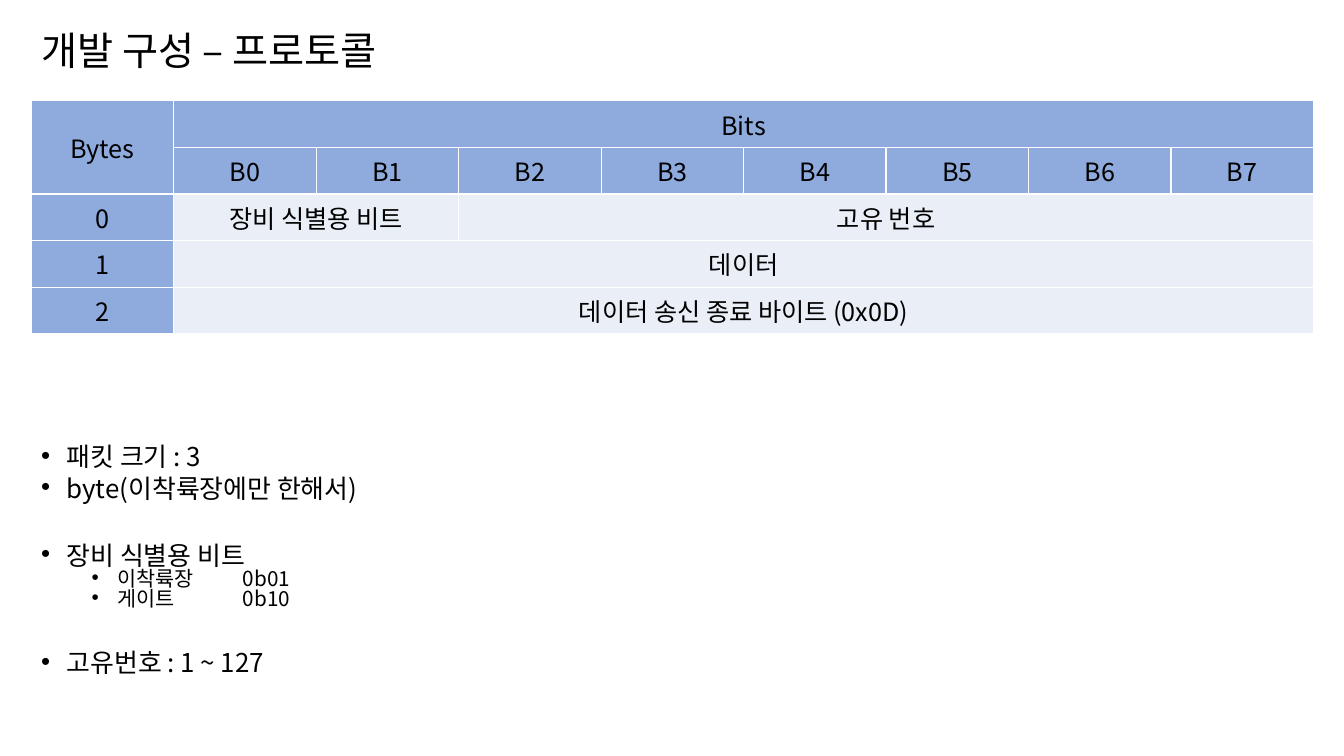
"""Build the protocol slide: a packet layout table above its notes."""
import dataclasses

import pptx
import pptx.dml.color
import pptx.enum.text
import pptx.oxml
import pptx.oxml.ns
import pptx.util

Cm = pptx.util.Cm
Pt = pptx.util.Pt
RGB = pptx.dml.color.RGBColor
ALIGN = pptx.enum.text.PP_ALIGN
ANCHOR = pptx.enum.text.MSO_ANCHOR

BLACK = RGB(0x00, 0x00, 0x00)
WHITE = RGB(0xFF, 0xFF, 0xFF)
BLUE = RGB(0x8F, 0xAA, 0xDC)
PALE = RGB(0xEA, 0xEF, 0xF7)
FONT = "Noto Sans CJK KR"
LEFT, WIDTH = Cm(0.79), Cm(32.31)
ROWS, COLS = 5, 9


@dataclasses.dataclass
class Field:
    row: int
    col: int
    text: str
    tall: int = 1
    wide: int = 1


@dataclasses.dataclass
class Note:
    text: str
    level: int = 0
    before: float = 8


FIELDS = [
    Field(0, 0, "Bytes", tall=2),
    Field(0, 1, "Bits", wide=8),
    *[Field(1, bit + 1, f"B{bit}") for bit in range(8)],
    *[Field(byte + 2, 0, str(byte)) for byte in range(3)],
    Field(2, 1, "장비 식별용 비트", wide=2),
    Field(2, 3, "고유 번호", wide=6),
    Field(3, 1, "데이터", wide=8),
    Field(4, 1, "데이터 송신 종료 바이트 (0x0D)", wide=8),
]
NOTES = [
    Note("패킷 크기 : 3", before=0),
    Note("byte(이착륙장에만 한해서)"),
    Note("장비 식별용 비트", before=33.3),
    Note("이착륙장\t0b01", level=1, before=3),
    Note("게이트\t0b10", level=1, before=3),
    Note("고유번호 : 1 ~ 127", before=33.3),
]


def element(tag: str, inner: str = "", attrs: str = ""):
    space = pptx.oxml.ns.nsdecls("a")
    return pptx.oxml.parse_xml(f"<a:{tag} {space} {attrs}>{inner}</a:{tag}>")


def write(para, text: str, *, size: float, align=ALIGN.LEFT,
          lines: float = 1.0, before: float = 0) -> None:
    para.alignment = align
    para.line_spacing = lines
    para.space_before = Pt(before)
    run = para.add_run()
    run.text = text
    run.font.size = Pt(size)
    run.font.name = FONT
    run.font.color.rgb = BLACK
    latin = run.font._element.find(pptx.oxml.ns.qn("a:latin"))
    latin.addnext(element("ea", attrs=f'typeface="{FONT}"'))


def add_title(slide) -> None:
    title = slide.shapes.title
    title.left, title.top = LEFT, Cm(0.58)
    title.width, title.height = WIDTH, Cm(1.52)
    frame = title.text_frame
    frame.auto_size = pptx.enum.text.MSO_AUTO_SIZE.NONE
    frame.vertical_anchor = ANCHOR.MIDDLE
    write(frame.paragraphs[0], "개발 구성 – 프로토콜", size=28, lines=0.9)


def edge(cell) -> None:
    fill = f'<a:solidFill><a:srgbClr val="{WHITE}"/></a:solidFill>'
    props = cell._tc.get_or_add_tcPr()
    for spot, side in enumerate(("lnL", "lnR", "lnT", "lnB")):
        props.insert(spot, element(side, fill, f'w="{Pt(1)}"'))


def add_grid(slide) -> None:
    frame = slide.shapes.add_table(ROWS, COLS, LEFT, Cm(2.54), WIDTH, Cm(5.15))
    table = frame.table
    table.first_row = table.horz_banding = False
    for row in range(ROWS):
        for col in range(COLS):
            cell = table.cell(row, col)
            cell.fill.solid()
            cell.fill.fore_color.rgb = BLUE if row < 2 or col == 0 else PALE
            edge(cell)
    for field in FIELDS:
        cell = table.cell(field.row, field.col)
        if field.tall * field.wide > 1:
            cell.merge(table.cell(field.row + field.tall - 1,
                                  field.col + field.wide - 1))
        cell.vertical_anchor = ANCHOR.MIDDLE
        write(cell.text_frame.paragraphs[0], field.text, size=18,
              align=ALIGN.CENTER)


def add_notes(slide) -> None:
    frame = slide.shapes.add_textbox(LEFT, Cm(11.23), WIDTH, Cm(7.14)).text_frame
    frame.word_wrap = True
    for index, note in enumerate(NOTES):
        para = frame.add_paragraph() if index else frame.paragraphs[0]
        para.level = note.level
        props = para._p.get_or_add_pPr()
        props.set("marL", str(Cm(0.64 + 1.27 * note.level)))
        props.set("indent", str(Cm(-0.64)))
        props.set("defTabSz", str(Cm(2.54)))
        props.append(element("buFont", attrs='typeface="Arial"'))
        props.append(element("buChar", attrs='char="•"'))
        if "\t" in note.text:
            stop = f'<a:tab pos="{Cm(5.08)}" algn="l"/>'
            props.append(element("tabLst", stop))
        write(para, note.text, size=14.8 if note.level else 18.5,
              lines=0.65, before=note.before)


def main() -> None:
    deck = pptx.Presentation()
    deck.slide_width, deck.slide_height = Cm(33.87), Cm(19.05)
    slide = deck.slides.add_slide(deck.slide_layouts[5])
    add_title(slide)
    add_grid(slide)
    add_notes(slide)
    deck.save("out.pptx")


if __name__ == "__main__":
    main()
